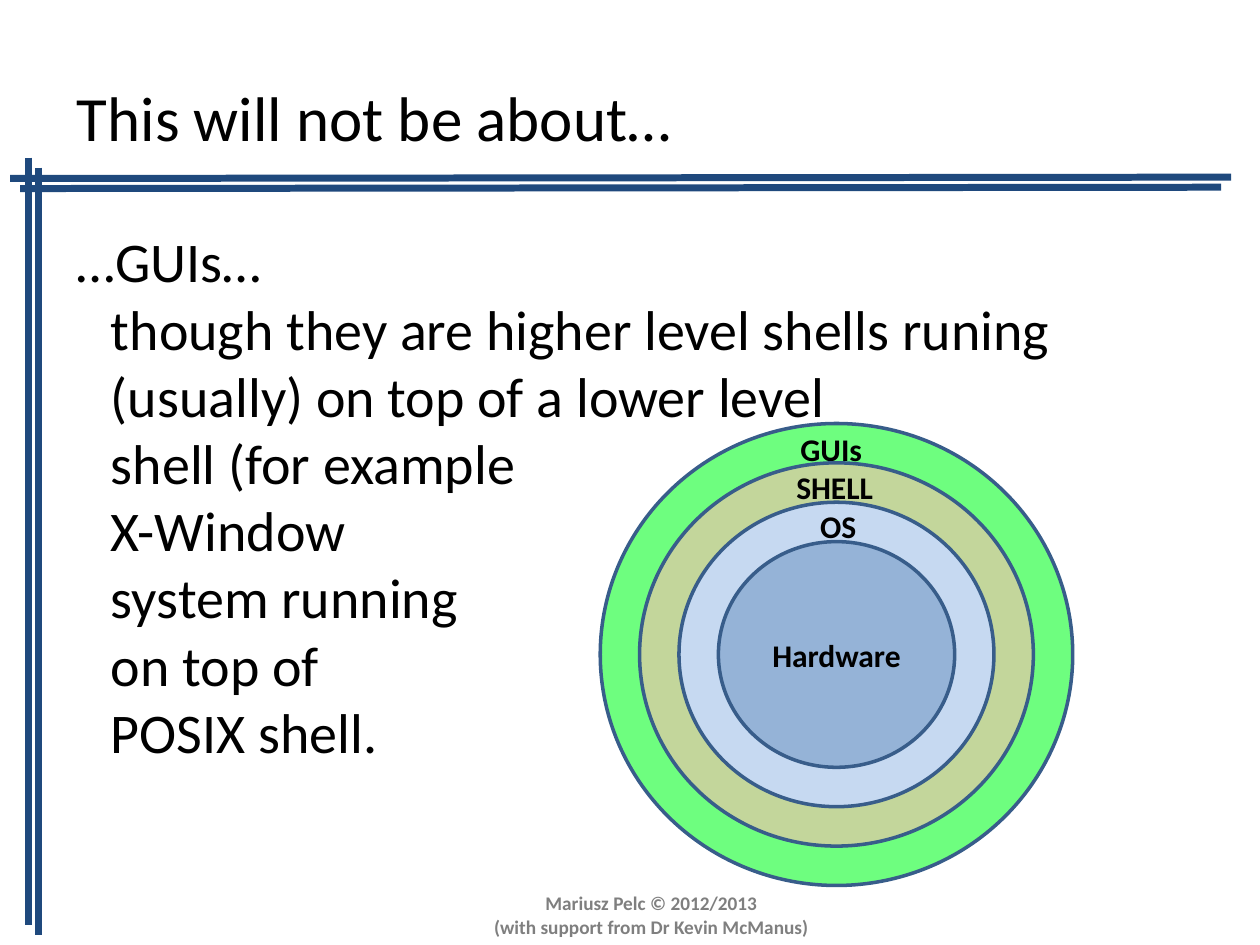
from lxml.etree import SubElement
from pptx import Presentation
from pptx.dml.color import RGBColor
from pptx.enum.shapes import MSO_CONNECTOR as Connector, MSO_SHAPE as Shape
from pptx.enum.text import MSO_ANCHOR as Anchor, MSO_AUTO_SIZE as AutoSize, PP_ALIGN as Align
from pptx.oxml.ns import qn
from pptx.util import Pt


def color(hex_value):
    return RGBColor.from_string(hex_value)


def apply(target, values):
    for name, value in values.items():
        setattr(target, name, value)


class SlideBuilder:
    font = "Calibri"
    ink = "000000"
    ring_edge = "385D8A"
    rule_color = "1F497D"

    def __init__(self, deck):
        self.slide = deck.slides.add_slide(deck.slide_layouts[1])

    def place(self, shape, left, top, width, height):
        apply(shape, {"left": Pt(left), "top": Pt(top), "width": Pt(width), "height": Pt(height)})

    def set_text(self, shape, text, size, ink=ink, bold=False, align=Align.LEFT,
                 anchor=Anchor.TOP, wrap=True, before=0):
        frame = shape.text_frame
        apply(frame, {"text": text, "word_wrap": wrap, "vertical_anchor": anchor,
                      "auto_size": AutoSize.NONE})
        for paragraph in frame.paragraphs:
            apply(paragraph, {"alignment": align, "space_before": Pt(before)})
            for run in paragraph.runs:
                apply(run.font, {"name": self.font, "size": Pt(size), "bold": bold})
                run.font.color.rgb = color(ink)

    def title(self, text, box):
        heading = self.slide.shapes.title
        self.place(heading, *box)
        self.set_text(heading, text, 36, anchor=Anchor.MIDDLE)

    def body(self, text, box, indent):
        body = self.slide.placeholders[1]
        self.place(body, *box)
        self.set_text(body, text, 32, before=8)
        for paragraph in body.text_frame.paragraphs:
            properties = paragraph._p.get_or_add_pPr()
            properties.set("marL", str(Pt(indent)))
            properties.set("indent", str(-Pt(indent)))
            SubElement(properties, qn("a:buNone"))

    def rule(self, start, end):
        rule = self.slide.shapes.add_connector(
            Connector.STRAIGHT, *(Pt(value) for value in (*start, *end)))
        rule.line.width = Pt(4)
        rule.line.color.rgb = color(self.rule_color)
        SubElement(rule._element.spPr, qn("a:effectLst"))

    def ring(self, center, width, height, fill):
        x, y = center
        ring = self.slide.shapes.add_shape(
            Shape.OVAL, Pt(x - width / 2), Pt(y - height / 2), Pt(width), Pt(height))
        ring.shadow.inherit = False
        ring.fill.solid()
        ring.fill.fore_color.rgb = color(fill)
        ring.line.width = Pt(2)
        ring.line.color.rgb = color(self.ring_edge)
        return ring

    def label(self, text, box, size, ink=ink):
        label = self.slide.shapes.add_textbox(*(Pt(value) for value in box))
        self.set_text(label, text, size, ink, bold=True, align=Align.CENTER, wrap=False)


def main():
    deck = Presentation()
    apply(deck, {"slide_width": Pt(720), "slide_height": Pt(540)})
    page = SlideBuilder(deck)

    page.title("This will not be about…", (36.7, 21.6, 551.5, 90))
    page.body("…GUIs… \vthough they are higher level shells runing (usually) "
              "on top of a lower level \vshell (for example \vX-Window\v"
              "system running\von top of \vPOSIX shell.",
              (36.7, 126, 667.4, 356.4), 19.5)

    for offset in (0, 5.75):
        page.rule((16.5 + offset, 90 + offset), (16.5 + offset, 528.5 + offset))
        page.rule((5.75 + offset, 102 + offset), (703.5 - offset, 101.25 + offset))

    layers = [("GUIs", "6EFE7F", 50), ("SHELL", "C3D69B", 58),
              ("OS", "C6D9F1", 35), ("Hardware", "95B3D7", None)]
    for depth, (name, fill, label_width) in enumerate(layers):
        ring = page.ring((478, 374), 270 - 45 * depth, 264 - 45 * depth, fill)
        if label_width is None:
            page.set_text(ring, name, 18, bold=True, align=Align.CENTER, anchor=Anchor.MIDDLE)
        else:
            label_left = 475 + 2 * depth - label_width / 2
            page.label(name, (label_left, 242 + 22 * depth, label_width, 29), 18)

    page.label("Mariusz Pelc © 2012/2013\n(with support from Dr Kevin McManus)",
               (275, 506, 194.5, 34), 11, "7F7F7F")
    deck.save("out.pptx")


if __name__ == "__main__":
    main()
